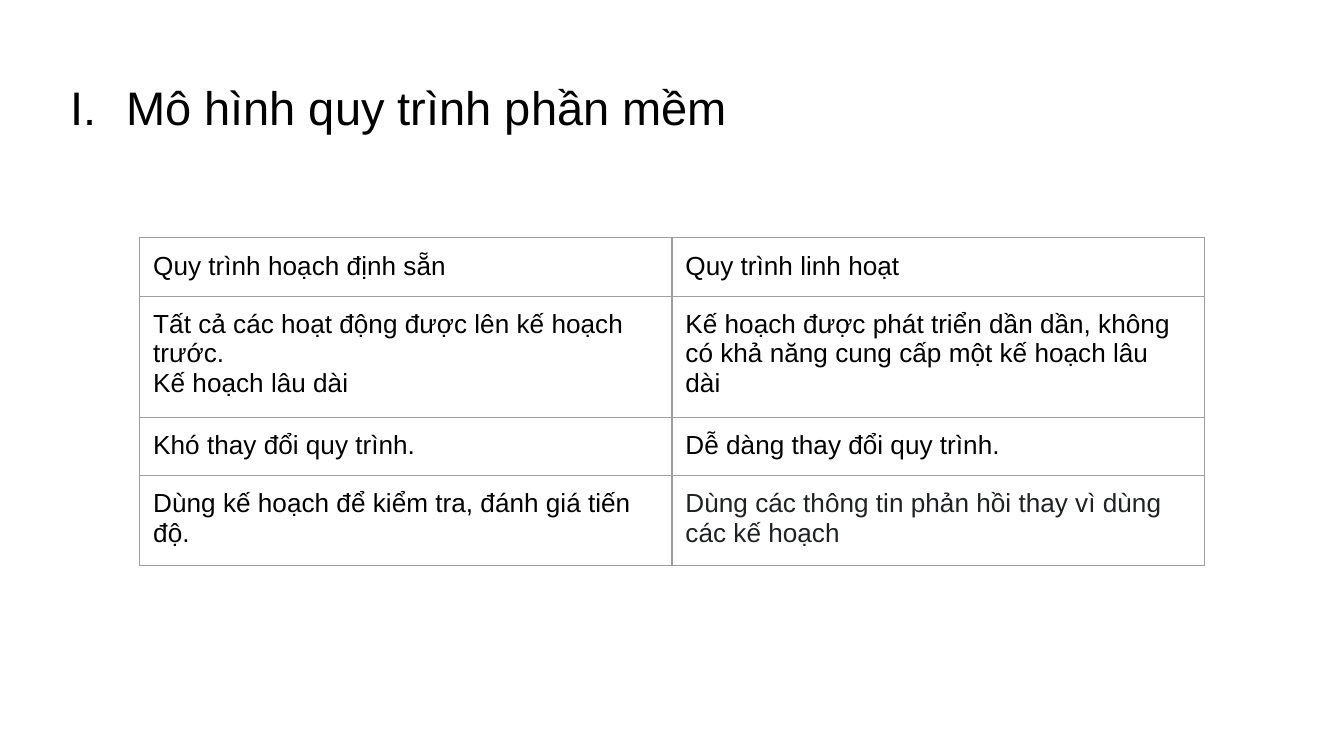
import dataclasses

import pptx
import pptx.dml.color
import pptx.enum.text
import pptx.oxml
import pptx.oxml.ns
import pptx.util

SCALE = 4572
MARGINS = ("margin_left", "margin_right", "margin_top", "margin_bottom")


@dataclasses.dataclass(frozen=True)
class Theme:
    """Colours, font and type sizes of the slide."""
    font: str = "Arial"
    text: str = "000000"
    soft_text: str = "202122"
    border: str = "9E9E9E"
    title_size: float = 25.2
    body_size: float = 14
    border_width: float = 0.75
    inset: int = 20


THEME = Theme()
TITLE = "Mô hình quy trình phần mềm"
COMPARISON = [
    ("Quy trình hoạch định sẵn", "Quy trình linh hoạt"),
    ("Tất cả các hoạt động được lên kế hoạch trước.\nKế hoạch lâu dài",
     "Kế hoạch được phát triển dần dần, không có khả năng cung cấp một kế hoạch lâu dài"),
    ("Khó thay đổi quy trình.", "Dễ dàng thay đổi quy trình."),
    ("Dùng kế hoạch để kiểm tra, đánh giá tiến độ.",
     "Dùng các thông tin phản hồi thay vì dùng các kế hoạch"),
]


def px(length):
    """Turn px, of which 200 make an inch, into EMU."""
    return pptx.util.Emu(length * SCALE)


def apply(target, values):
    """Set each named attribute on the target."""
    for name, value in values.items():
        setattr(target, name, value)


def format_font(font, size, color):
    """Give a font the theme typeface with a size and colour."""
    apply(font, {"name": THEME.font, "size": pptx.util.Pt(size), "bold": False})
    font.color.rgb = pptx.dml.color.RGBColor.from_string(color)


def add_element(parent, content):
    """Append a DrawingML element given as markup."""
    tag, rest = content.split(" ", 1)
    namespace = pptx.oxml.ns.nsdecls("a")
    parent.append(pptx.oxml.parse_xml(f"<{tag} {namespace} {rest}"))


def add_title(slide, left, top, width, height):
    """Place the numbered heading in the given box."""
    frame = slide.shapes.add_textbox(px(left), px(top), px(width), px(height)).text_frame
    apply(frame, {"word_wrap": True, "vertical_anchor": pptx.enum.text.MSO_ANCHOR.TOP})
    apply(frame, dict.fromkeys(MARGINS, px(THEME.inset)))
    paragraph = frame.paragraphs[0]
    run = paragraph.add_run()
    run.text = TITLE
    properties = paragraph._p.get_or_add_pPr()
    properties.set("marL", str(px(100)))
    properties.set("indent", str(px(-83)))
    add_element(properties, f'a:buClr ><a:srgbClr val="{THEME.text}"/></a:buClr>')
    add_element(properties, f'a:buFont typeface="{THEME.font}"/>')
    add_element(properties, 'a:buAutoNum type="romanUcPeriod"/>')
    format_font(run.font, THEME.title_size, THEME.text)


def format_cell(cell, text, color):
    """Fill a cell with text and draw its four borders."""
    cell.text = text
    apply(cell, dict.fromkeys(MARGINS, px(THEME.inset)))
    for paragraph in cell.text_frame.paragraphs:
        apply(paragraph, {"line_spacing": 1.0, "space_before": 0, "space_after": 0})
        for run in paragraph.runs:
            format_font(run.font, THEME.body_size, color)
    properties = cell._tc.get_or_add_tcPr()
    for side in "LRTB":
        add_element(
            properties,
            f'a:ln{side} w="{pptx.util.Pt(THEME.border_width)}"><a:solidFill>'
            f'<a:srgbClr val="{THEME.border}"/></a:solidFill></a:ln{side}>')
    cell.fill.background()


def add_comparison(slide, left, top, width, height, column_width, row_height):
    """Place the comparison table in the given box, with its own grid sizes."""
    rows, columns = len(COMPARISON), len(COMPARISON[0])
    frame = slide.shapes.add_table(
        rows, columns, px(left), px(top), px(width), px(height))
    table = frame.table
    apply(table, {"first_row": False, "horz_banding": False})
    for column in table.columns:
        column.width = px(column_width)
    for row in table.rows:
        row.height = px(row_height)
    apply(frame, {"width": px(width), "height": px(height)})
    for row, texts in enumerate(COMPARISON):
        for column, text in enumerate(texts):
            is_last = (row, column) == (rows - 1, columns - 1)
            color = THEME.soft_text if is_last else THEME.text
            format_cell(table.cell(row, column), text, color)


def main():
    """Build the slide and save it."""
    presentation = pptx.Presentation()
    apply(presentation, {"slide_width": px(2000), "slide_height": px(1125)})
    slide = presentation.slides.add_slide(presentation.slide_layouts[6])
    add_title(slide, 68, 97, 1864, 125)
    add_comparison(slide, 208, 354, 656, 656, column_width=792, row_height=83)
    presentation.save("out.pptx")


if __name__ == "__main__":
    main()
